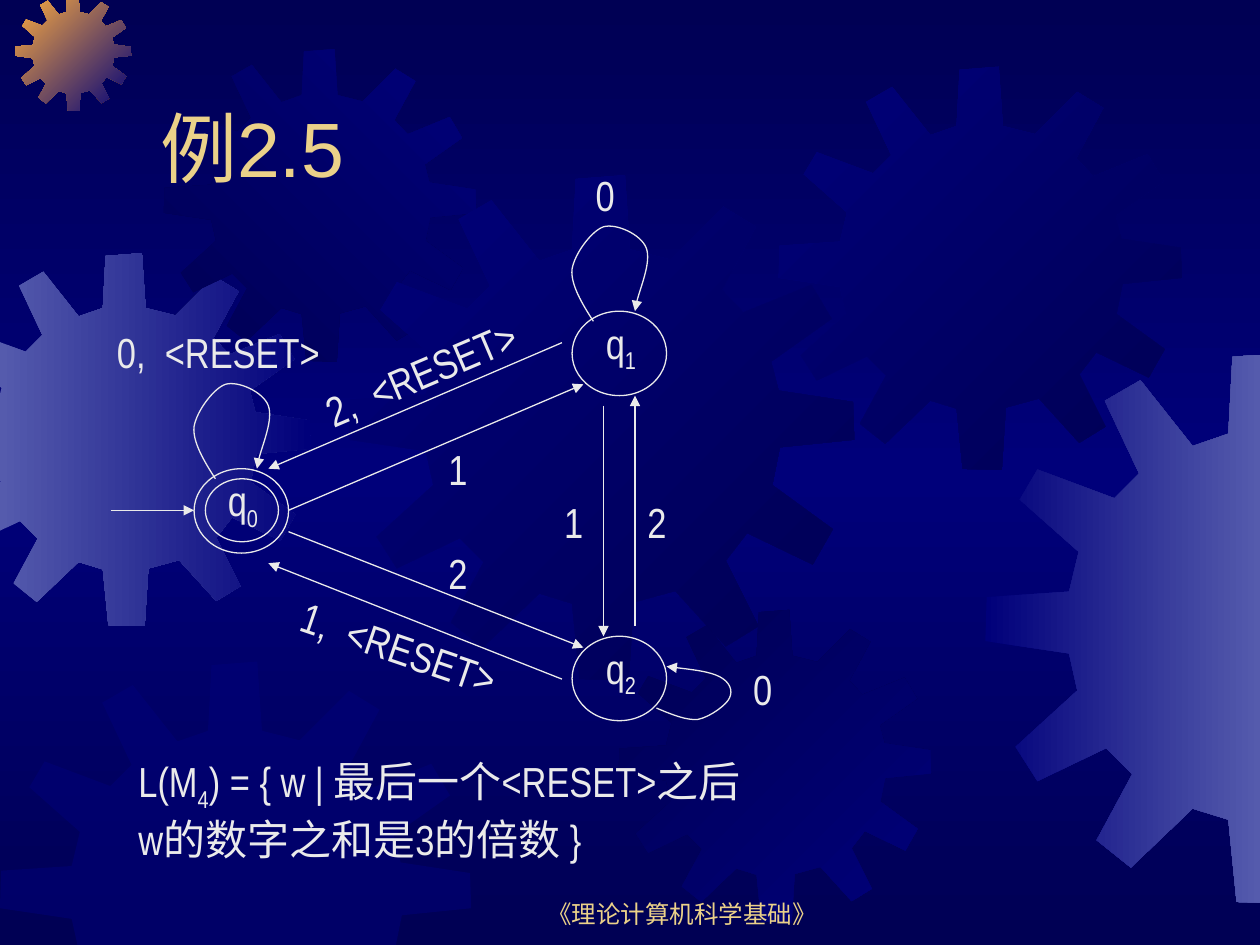
from copy import deepcopy
from dataclasses import dataclass
from typing import NamedTuple

from lxml.etree import SubElement
from pptx import Presentation
from pptx.dml.color import RGBColor
from pptx.enum.shapes import MSO_CONNECTOR as Connector, MSO_SHAPE as Preset
from pptx.enum.text import MSO_ANCHOR as Anchor, MSO_AUTO_SIZE as AutoSize, PP_ALIGN as Align
from pptx.oxml.ns import qn
from pptx.util import Inches, Pt

Point = tuple[float, float]


@dataclass(frozen=True)
class Theme:
    dark: str = "000054"
    mid: str = "00007A"
    pale: str = "555BAD"
    orange: str = "FCAB40"
    gold: str = "EBD189"
    ink: str = "EAEAEA"
    heading_font: str = "Arial"
    body_font: str = "Arial Narrow"
    title_size: float = 44
    body_size: float = 24
    footer_size: float = 14
    line_width: float = 0.75


class Gear(NamedTuple):
    left: float
    top: float
    size: float
    first: str
    last: str
    angle: int  # clockwise


class State(NamedTuple):
    number: str
    left: float
    top: float


class Arrow(NamedTuple):
    start: Point
    end: Point


class Label(NamedTuple):
    text: str
    left: float
    top: float
    width: float = 0.5
    rotation: float = 0


THEME = Theme()
WIDTH, HEIGHT = 10, 7.5
STATE_WIDTH, STATE_HEIGHT = 0.75, 0.67

GEAR_UNITS = 401
GEAR_OUTLINE: list[Point] = [
    (255, 67), (223, 59), (219, 0), (180, 3), (177, 59), (151, 68), (113, 20), (87, 35),
    (112, 88), (94, 106), (38, 85), (25, 107), (68, 145), (61, 174), (1, 178), (0, 210),
    (61, 219), (67, 246), (22, 287), (38, 312), (88, 288), (107, 307), (81, 355), (106, 375),
    (151, 332), (177, 340), (183, 400), (222, 401), (226, 339), (259, 330), (299, 374), (325, 358),
    (299, 306), (316, 284), (368, 309), (384, 281), (336, 246), (342, 216), (401, 210), (400, 180),
    (341, 171), (335, 148), (383, 114), (367, 87), (313, 109), (296, 91), (323, 41), (297, 25),
]
GEARS = [
    Gear(-0.49, 2.01, 2.96, THEME.pale, THEME.mid, 0),
    Gear(0.12, -0.04, 0.92, THEME.orange, THEME.mid, 45),
    Gear(1.3, 0.39, 2.48, THEME.dark, THEME.mid, 315),
    Gear(2.77, 1.39, 4.01, THEME.mid, THEME.dark, 45),
    Gear(0, 5.25, 3.74, THEME.mid, THEME.mid, 0),
    Gear(4.91, 4.84, 2.48, THEME.dark, THEME.mid, 45),
    Gear(6.18, 0.53, 3.2, THEME.mid, THEME.dark, 45),
    Gear(7.82, 2.8, 4.37, THEME.mid, THEME.pale, 0),
]
TRANSLUCENT_GEAR = GEARS[4]

STATES = [State("0", 1.54, 3.72), State("1", 4.54, 2.47), State("2", 4.54, 5.05)]
ARROWS = [
    Arrow((0.88, 4.05), (1.54, 4.05)),
    Arrow((4.46, 2.72), (2.13, 3.72)),
    Arrow((2.29, 4.05), (4.63, 3.05)),
    Arrow((2.29, 4.22), (4.63, 5.14)),
    Arrow((4.46, 5.39), (2.13, 4.47)),
    Arrow((4.79, 3.22), (4.79, 5.05)),
    Arrow((5.04, 4.97), (5.04, 3.14)),
]
# Cubic curves, relative to the top left corner of the state
TOP_LOOP: list[Point] = [
    (0.17, 0.08), (0.08, -0.06), (-0.01, -0.21), (0, -0.33), (0.02, -0.46),
    (0.16, -0.64), (0.25, -0.67), (0.35, -0.7), (0.55, -0.61), (0.59, -0.5),
    (0.63, -0.39), (0.5, -0.08), (0.5, 0),
]
SIDE_LOOP: list[Point] = [
    (0.67, 0.57), (0.79, 0.62), (0.91, 0.67), (1, 0.66), (1.1, 0.64),
    (1.23, 0.54), (1.25, 0.49), (1.28, 0.43), (1.25, 0.36), (1.17, 0.32),
    (1.09, 0.28), (0.92, 0.26), (0.75, 0.24),
]
LABELS = [
    Label("0", 4.63, 1.3),
    Label("0", 5.88, 5.22),
    Label("2", 3.46, 4.3),
    Label("1", 3.46, 3.47),
    Label("2", 5.04, 3.89),
    Label("1", 4.38, 3.89),
    Label("0,  <RESET>", 0.83, 2.54, 1.92),
    Label("2,  <RESET>", 2.43, 2.69, 1.92, 336.9),
    Label("1,  <RESET>", 2.26, 4.91, 1.92, 18.8),
]


def clip(points: list[Point], axis: int, limit: float, sign: int) -> list[Point]:
    """Cut a polygon, keeping the side where sign * (coordinate - limit) >= 0."""
    kept: list[Point] = []
    for before, point in zip(points[-1:] + points[:-1], points):
        a, b = sign * (before[axis] - limit), sign * (point[axis] - limit)
        if (a >= 0) != (b >= 0):
            share = a / (a - b)
            kept.append((before[0] + share * (point[0] - before[0]),
                         before[1] + share * (point[1] - before[1])))
        if b >= 0:
            kept.append(point)
    return kept


def set_gradient(fill, colors: list[str], angle: int) -> None:
    fill.gradient()
    fill.gradient_angle = -angle % 360
    stop_list = fill.gradient_stops[0]._gs.getparent()
    while len(stop_list) < len(colors):
        stop_list.append(deepcopy(stop_list[0]))
    for index, (stop, color) in enumerate(zip(fill.gradient_stops, colors)):
        stop.color.rgb = RGBColor.from_string(color)
        stop.position = index / (len(colors) - 1)


def add_outline(slide, points: list[Point], close: bool):
    (first, *rest) = [(Inches(x), Inches(y)) for x, y in points]
    builder = slide.shapes.build_freeform(*first)
    builder.add_line_segments(rest, close=close)
    shape = builder.convert_to_shape()
    shape.shadow.inherit = False
    return shape


def add_gear(slide, gear: Gear) -> None:
    scale = gear.size / GEAR_UNITS
    points = [(gear.left + x * scale, gear.top + y * scale) for x, y in GEAR_OUTLINE]
    for axis, limit, sign in ((0, 0, 1), (0, WIDTH, -1), (1, 0, 1), (1, HEIGHT, -1)):
        points = clip(points, axis, limit, sign)
    shape = add_outline(slide, points, close=True)
    shape.line.fill.background()
    if gear is TRANSLUCENT_GEAR:
        shape.fill.solid()
        shape.fill.fore_color.rgb = RGBColor.from_string(gear.first)
        color = shape.element.spPr.find(qn("a:solidFill"))[0]
        SubElement(color, qn("a:alpha"), val="50000")
    else:
        set_gradient(shape.fill, [gear.first, gear.last], gear.angle)


def style_line(shape, arrowhead: bool = False) -> None:
    shape.line.color.rgb = RGBColor.from_string(THEME.ink)
    shape.line.width = Pt(THEME.line_width)
    if arrowhead:
        SubElement(shape.element.spPr.find(qn("a:ln")), qn("a:tailEnd"), type="triangle")


def add_arrow(slide, arrow: Arrow) -> None:
    ends = [Inches(value) for value in arrow.start + arrow.end]
    connector = slide.shapes.add_connector(Connector.STRAIGHT, *ends)
    style_line(connector, arrowhead=True)
    SubElement(connector.element.spPr, qn("a:effectLst"))


def add_loop(slide, state: State, points: list[Point]) -> None:
    """Draw a curved arrow by turning each three line segments into one cubic curve."""
    shape = add_outline(slide, [(state.left + x, state.top + y) for x, y in points], close=False)
    shape.fill.background()
    style_line(shape, arrowhead=True)
    segments = list(shape.element.iter(qn("a:lnTo")))
    outline = segments[0].getparent()
    for index in range(0, len(segments), 3):
        curve = SubElement(outline, qn("a:cubicBezTo"))
        for segment in segments[index:index + 3]:
            curve.append(segment[0])
            outline.remove(segment)


def add_ellipse(slide, left: float, top: float, width: float, height: float) -> None:
    box = map(Inches, (left, top, width, height))
    ellipse = slide.shapes.add_shape(Preset.OVAL, *box)
    ellipse.shadow.inherit = False
    ellipse.fill.background()
    style_line(ellipse)


def write(shape, *parts: str, size: float = THEME.body_size, font: str = THEME.body_font,
          color: str = THEME.ink, align: Align = Align.LEFT, anchor: Anchor = Anchor.TOP,
          space_before: float = 15, auto_size: AutoSize = AutoSize.SHAPE_TO_FIT_TEXT) -> None:
    """Fill a shape with one paragraph; every second part is a subscript."""
    frame = shape.text_frame
    frame.word_wrap, frame.auto_size, frame.vertical_anchor = True, auto_size, anchor
    paragraph = frame.paragraphs[0]
    paragraph.alignment, paragraph.space_before = align, Pt(space_before)
    for index, part in enumerate(parts):
        run = paragraph.add_run()
        run.text = part
        run.font.size, run.font.name = Pt(size), font
        run.font.color.rgb = RGBColor.from_string(color)
        if index % 2:
            run.font._element.set("baseline", "-25000")


def add_text(slide, left: float, top: float, width: float, height: float, *parts: str, **options):
    box = slide.shapes.add_textbox(*map(Inches, (left, top, width, height)))
    write(box, *parts, **options)
    return box


def main() -> None:
    presentation = Presentation()
    presentation.slide_width, presentation.slide_height = Inches(WIDTH), Inches(HEIGHT)
    slide = presentation.slides.add_slide(presentation.slide_layouts[5])
    set_gradient(slide.background.fill, [THEME.dark, THEME.mid, THEME.dark], 90)
    for gear in GEARS:
        add_gear(slide, gear)

    heading = dict(font=THEME.heading_font, color=THEME.gold, anchor=Anchor.BOTTOM,
                   space_before=0, auto_size=AutoSize.NONE)
    title = slide.shapes.title
    title.left, title.top, title.width, title.height = map(Inches, (1.17, 0.33, 8.5, 1.25))
    write(title, "例2.5", size=THEME.title_size, **heading)
    slide.shapes.element.append(title.element)  # in front of the gears
    add_text(slide, 3.83, 6.92, 3.17, 0.5, "《理论计算机科学基础》",
             size=THEME.footer_size, align=Align.CENTER, **heading)

    for state in STATES:
        add_ellipse(slide, state.left, state.top, STATE_WIDTH, STATE_HEIGHT)
        add_text(slide, state.left + 0.17, state.top, 0.5, 0.56, "q", state.number)
    start, upper, lower = STATES
    add_ellipse(slide, start.left + 0.09, start.top + 0.08, 0.58, 0.5)
    for state, loop in ((start, TOP_LOOP), (upper, TOP_LOOP), (lower, SIDE_LOOP)):
        add_loop(slide, state, loop)
    for arrow in ARROWS:
        add_arrow(slide, arrow)
    for label in LABELS:
        box = add_text(slide, label.left, label.top, label.width, 0.5, label.text)
        box.rotation = label.rotation
    add_text(slide, 1, 5.95, 5.02, 0.96,
             "L(M", "4", ") = { w | 最后一个<RESET>之后w的数字之和是3的倍数 }")
    presentation.save("out.pptx")


if __name__ == "__main__":
    main()
